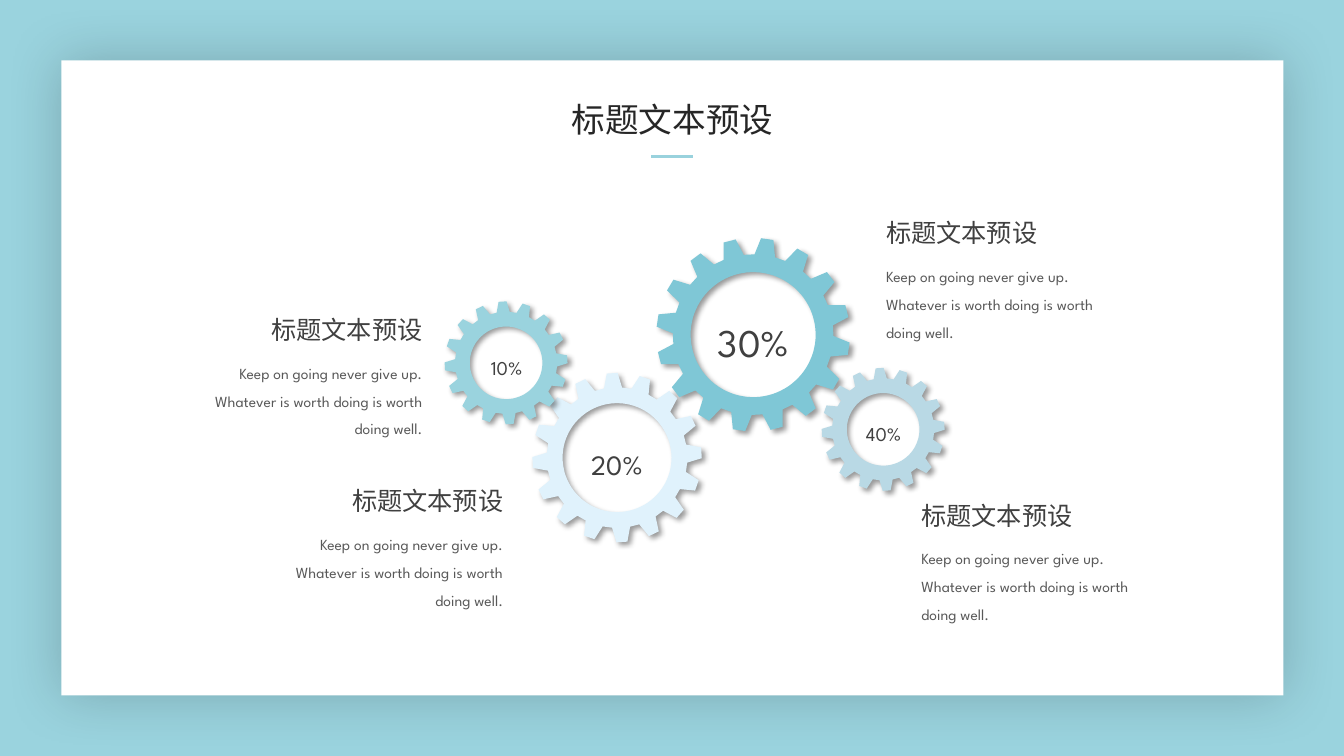
import math

from lxml import etree
from pptx import Presentation, util as u
from pptx.dml.color import RGBColor
from pptx.enum import shapes, text
from pptx.oxml.ns import qn

COLORS = {
    "background": "9AD3DE", "panel": "FFFFFF", "accent": "99D2DD",
    "title": "262626", "heading": "404040", "body": "595959", "shadow": "000000",
}
LATIN, CJK = "League Spartan", "Noto Sans CJK SC"
HEADING = "标题文本预设"
BODY = "Keep on going never give up. Whatever is worth doing is worth doing well."
TEETH = 16
ROOT_RATIO = 0.83
ROTATION = -16.2

# Center x, center y, outer radius, hole radius, angle of first tooth, fill
GEARS = [
    (6.12, 4.54, 0.84, 0.54, -9.6, "E0F2FC"),
    (7.47, 3.32, 0.96, 0.62, 2.1, "7FC7D6"),
    (5.02, 3.6, 0.61, 0.36, -9.6, "9AD3DE"),
    (8.76, 4.26, 0.61, 0.36, -9.6, "B9D9E5"),
]
# Label, left, top, width, height, size
PERCENTAGES = [
    ("10%", 4.74, 3.48, 0.57, 0.26, 14),
    ("20%", 5.74, 4.37, 0.76, 0.37, 20),
    ("30%", 7.04, 3.06, 0.87, 0.51, 28),
    ("40%", 8.48, 4.14, 0.57, 0.26, 14),
]
# Left and top of the description, alignment
LEFT, RIGHT = text.PP_ALIGN.LEFT, text.PP_ALIGN.RIGHT
NOTES = [(1.81, 3.07, RIGHT), (2.61, 4.77, RIGHT), (9.04, 4.91, LEFT), (8.69, 2.11, LEFT)]


def style_shape(shape, fill, alpha, blur, distance, angle):
    """Give a shape a plain fill, no outline and an outer shadow."""
    shape.fill.solid()
    shape.fill.fore_color.rgb = RGBColor.from_string(fill)
    shape.line.fill.background()
    shape.shadow.inherit = False
    effects = shape._element.spPr.find(qn("a:effectLst"))
    shadow = etree.SubElement(
        effects, qn("a:outerShdw"), blurRad=str(u.Pt(blur)), dist=str(u.Pt(distance)),
        dir=str(angle * 60000), algn="ctr", rotWithShape="0")
    color = etree.SubElement(shadow, qn("a:srgbClr"), val=COLORS["shadow"])
    etree.SubElement(color, qn("a:alpha"), val=str(alpha * 1000))


def write_text(box, words, size, color, align, spacing=1.0, latin=LATIN, wrap=True):
    frame = box.text_frame
    frame.text = words
    frame.word_wrap = wrap
    frame.auto_size = text.MSO_AUTO_SIZE.SHAPE_TO_FIT_TEXT
    para = frame.paragraphs[0]
    para.alignment = align
    para.line_spacing = spacing
    span = para.runs[0]
    span.font.size = u.Pt(size)
    span.font.name = latin
    span.font.color.rgb = RGBColor.from_string(COLORS[color])
    etree.SubElement(span._r.get_or_add_rPr(), qn("a:ea"), typeface=CJK)


deck = Presentation()
deck.slide_width, deck.slide_height = u.Inches(13.33), u.Inches(7.5)
page = deck.slides.add_slide(deck.slide_layouts[5])
page.background.fill.solid()
page.background.fill.fore_color.rgb = RGBColor.from_string(COLORS["background"])

panel = page.shapes.add_shape(
    shapes.MSO_SHAPE.RECTANGLE, u.Inches(0.61), u.Inches(0.6), u.Inches(12.12), u.Inches(6.3))
style_shape(panel, COLORS["panel"], 20, 40, 0, 0)
page.shapes._spTree.insert(2, panel._element)

# Gears: four corners per tooth, then the hole drawn the other way round
for center_x, center_y, outer, hole, first, fill in GEARS:
    root = outer * ROOT_RATIO
    polar = []
    for tooth in range(TEETH):
        middle = first + tooth * 360 / TEETH
        polar += [(root, middle - 7.4), (outer, middle - 3.7),
                  (outer, middle + 3.7), (root, middle + 7.4)]
    rim = [(hole, -angle) for angle in range(0, 360, 4)]
    outline, opening = [
        [(u.Inches(center_x + radius * math.cos(math.radians(angle))),
          u.Inches(center_y + radius * math.sin(math.radians(angle))))
         for radius, angle in ring]
        for ring in (polar, rim)]
    builder = page.shapes.build_freeform(*outline[0])
    builder.add_line_segments(outline[1:], close=True)
    builder.move_to(*opening[0])
    builder.add_line_segments(opening[1:], close=True)
    gear = builder.convert_to_shape()
    gear.rotation = ROTATION
    style_shape(gear, fill, 40, 4, 3, 45)

for label, left, top, width, height, size in PERCENTAGES:
    box = page.shapes.add_textbox(*map(u.Inches, (left, top, width, height)))
    frame = box.text_frame
    frame.margin_left = frame.margin_right = frame.margin_top = frame.margin_bottom = 0
    write_text(box, label, size, "heading", text.PP_ALIGN.CENTER, spacing=1.2)

for left, top, align in NOTES:
    heading_left = left + 0.55 if align == RIGHT else left
    heading = page.shapes.add_textbox(*map(u.Inches, (heading_left, top, 1.93, 0.4)))
    write_text(heading, HEADING, 18, "heading", align)
    body = page.shapes.add_textbox(*map(u.Inches, (left, top + 0.4, 2.48, 0.93)))
    write_text(body, BODY, 11, "body", align, spacing=1.5)

title = page.shapes.title
title.left, title.top, title.width, title.height = map(u.Inches, (5.56, 0.93, 2.22, 0.5))
title.text_frame.vertical_anchor = text.MSO_ANCHOR.TOP
write_text(title, HEADING, 24, "title", text.PP_ALIGN.CENTER, latin=CJK, wrap=False)

underline = page.shapes.add_connector(
    shapes.MSO_CONNECTOR.STRAIGHT, u.Inches(6.46), u.Inches(1.55), u.Inches(6.87), u.Inches(1.55))
underline.line.color.rgb = RGBColor.from_string(COLORS["accent"])
underline.line.width = u.Pt(2.25)
etree.SubElement(underline._element.spPr, qn("a:effectLst"))

deck.save("out.pptx")
